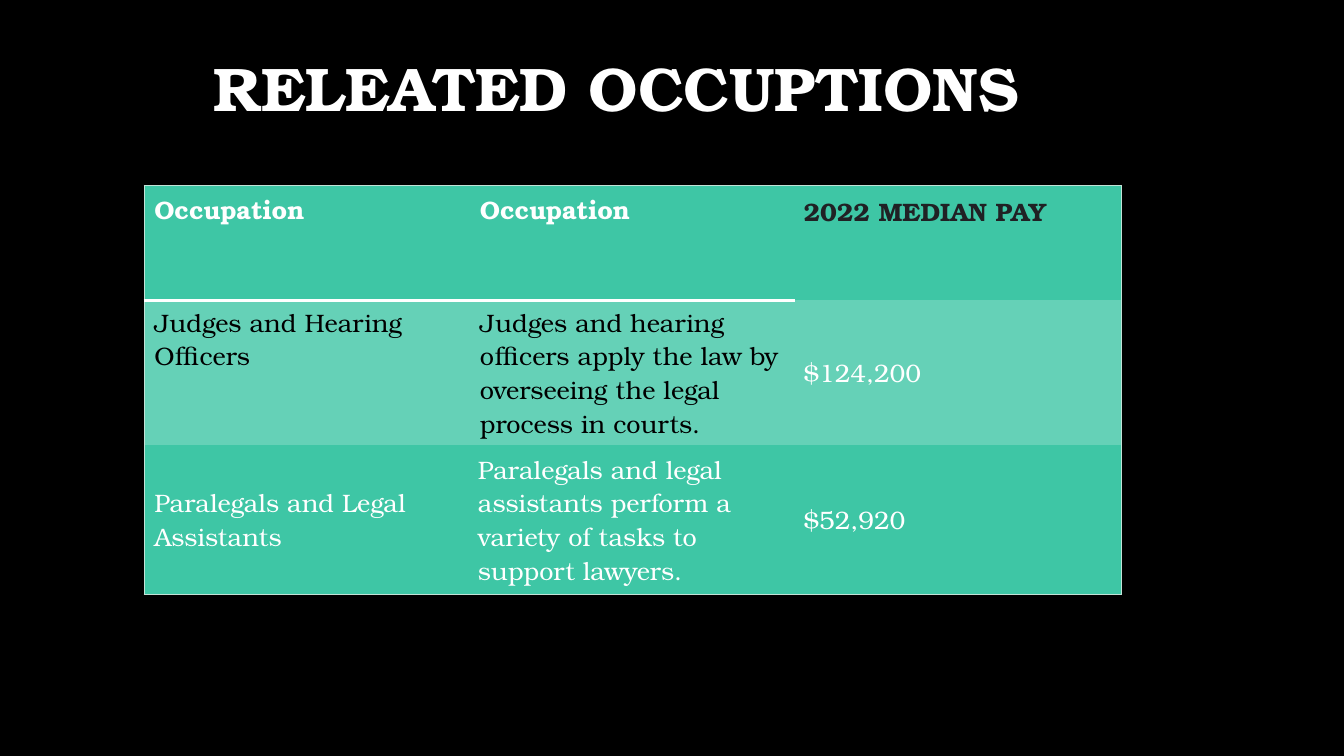
from dataclasses import dataclass

from lxml import etree
from pptx import Presentation
from pptx import util as u
from pptx.dml.color import RGBColor
from pptx.enum import text
from pptx.oxml import ns


@dataclass(frozen=True)
class Theme:
    font: str = "TeX Gyre Bonum"
    title_size: int = 44
    table_size: int = 18
    background: str = "000000"
    light: str = "FFFFFF"
    dark: str = "000000"
    charcoal: str = "202124"
    green: str = "3EC6A5"
    pale_green: str = "65D1B7"
    outline: str = "C2E2D7"


THEME = Theme()
TABLE_LEFT, TABLE_TOP, COLUMN_WIDTH = 1.43, 1.84, 3.23
ROW_HEIGHTS = (1.14, 1.43, 1.48)
ROW_FILLS = (THEME.green, THEME.pale_green, THEME.green)
TOP, MIDDLE = text.MSO_ANCHOR.TOP, text.MSO_ANCHOR.MIDDLE
WIDE, SLIM, FIRST = (0.1, 0.05), (0.08, 0.07), (0.1, 0.07)

OCCUPATIONS = (
    (
        ("Occupation", THEME.light, TOP, WIDE),
        ("Occupation", THEME.light, TOP, WIDE),
        ("2022 MEDIAN PAY", THEME.charcoal, TOP, SLIM),
    ),
    (
        ("Judges and Hearing Officers", THEME.dark, TOP, WIDE),
        ("Judges and hearing officers apply the law by overseeing the legal process in courts.",
         THEME.dark, TOP, WIDE),
        ("$124,200", THEME.light, MIDDLE, SLIM),
    ),
    (
        ("Paralegals and Legal Assistants", THEME.light, MIDDLE, FIRST),
        ("Paralegals and legal assistants perform a variety of tasks to support lawyers.",
         THEME.light, MIDDLE, SLIM),
        ("$52,920", THEME.light, MIDDLE, SLIM),
    ),
)


def write_text(frame, words, *, size, color, bold=False, align=text.PP_ALIGN.LEFT, spacing=1.0):
    paragraph = frame.paragraphs[0]
    paragraph.alignment = align
    paragraph.line_spacing = spacing
    run = paragraph.add_run()
    run.text = words
    run.font.name = THEME.font
    run.font.size = u.Pt(size)
    run.font.bold = bold
    run.font.color.rgb = RGBColor.from_string(color)


def add_title(slide, words):
    title = slide.shapes.title
    title.left, title.top = u.Inches(0.31), u.Inches(0.36)
    title.width, title.height = u.Inches(11.21), u.Inches(1.1)
    frame = title.text_frame
    frame.auto_size = text.MSO_AUTO_SIZE.NONE
    frame.vertical_anchor = MIDDLE
    frame.margin_left = u.Inches(0.5)
    write_text(frame, words, size=THEME.title_size, color=THEME.light, bold=True,
               align=text.PP_ALIGN.CENTER, spacing=0.9)


def cell_borders(row, column, last_row, last_column):
    outline = (THEME.outline, 1)
    header_rule = (THEME.light, 2) if column < last_column else None
    return {
        "L": outline if column == 0 else None,
        "R": outline if column == last_column else None,
        "T": outline if row == 0 else header_rule if row == 1 else None,
        "B": outline if row == last_row else header_rule if row == 0 else None,
    }


def draw_borders(cell, borders):
    properties = cell._tc.get_or_add_tcPr()
    for side, border in borders.items():
        line = etree.SubElement(properties, ns.qn(f"a:ln{side}"))
        if border:
            color, width = border
            line.set("w", str(u.Pt(width)))
            fill = etree.SubElement(line, ns.qn("a:solidFill"))
            etree.SubElement(fill, ns.qn("a:srgbClr"), val=color)
        else:
            etree.SubElement(line, ns.qn("a:noFill"))


def format_cell(cell, content, *, fill, borders, bold):
    words, color, anchor, (side_margin, end_margin) = content
    cell.margin_left = u.Inches(side_margin)
    cell.margin_right = u.Inches(side_margin)
    cell.margin_top = cell.margin_bottom = u.Inches(end_margin)
    cell.vertical_anchor = anchor
    draw_borders(cell, borders)
    cell.fill.solid()
    cell.fill.fore_color.rgb = RGBColor.from_string(fill)
    write_text(cell.text_frame, words, size=THEME.table_size, color=color, bold=bold)


def add_occupation_table(slide):
    row_count, column_count = len(OCCUPATIONS), len(OCCUPATIONS[0])
    table = slide.shapes.add_table(
        row_count, column_count, u.Inches(TABLE_LEFT), u.Inches(TABLE_TOP),
        u.Inches(COLUMN_WIDTH * column_count), u.Inches(sum(ROW_HEIGHTS))).table
    table.horz_banding = False
    for column in table.columns:
        column.width = u.Inches(COLUMN_WIDTH)
    for row, contents in enumerate(OCCUPATIONS):
        table.rows[row].height = u.Inches(ROW_HEIGHTS[row])
        for column, content in enumerate(contents):
            borders = cell_borders(row, column, row_count - 1, column_count - 1)
            format_cell(table.cell(row, column), content, fill=ROW_FILLS[row],
                        borders=borders, bold=row == 0)


def main():
    presentation = Presentation()
    presentation.slide_width, presentation.slide_height = u.Inches(13.33), u.Inches(7.5)
    slide = presentation.slides.add_slide(presentation.slide_layouts[5])
    slide.background.fill.solid()
    slide.background.fill.fore_color.rgb = RGBColor.from_string(THEME.background)
    add_title(slide, "RELEATED OCCUPTIONS")
    add_occupation_table(slide)
    presentation.save("out.pptx")


if __name__ == "__main__":
    main()
